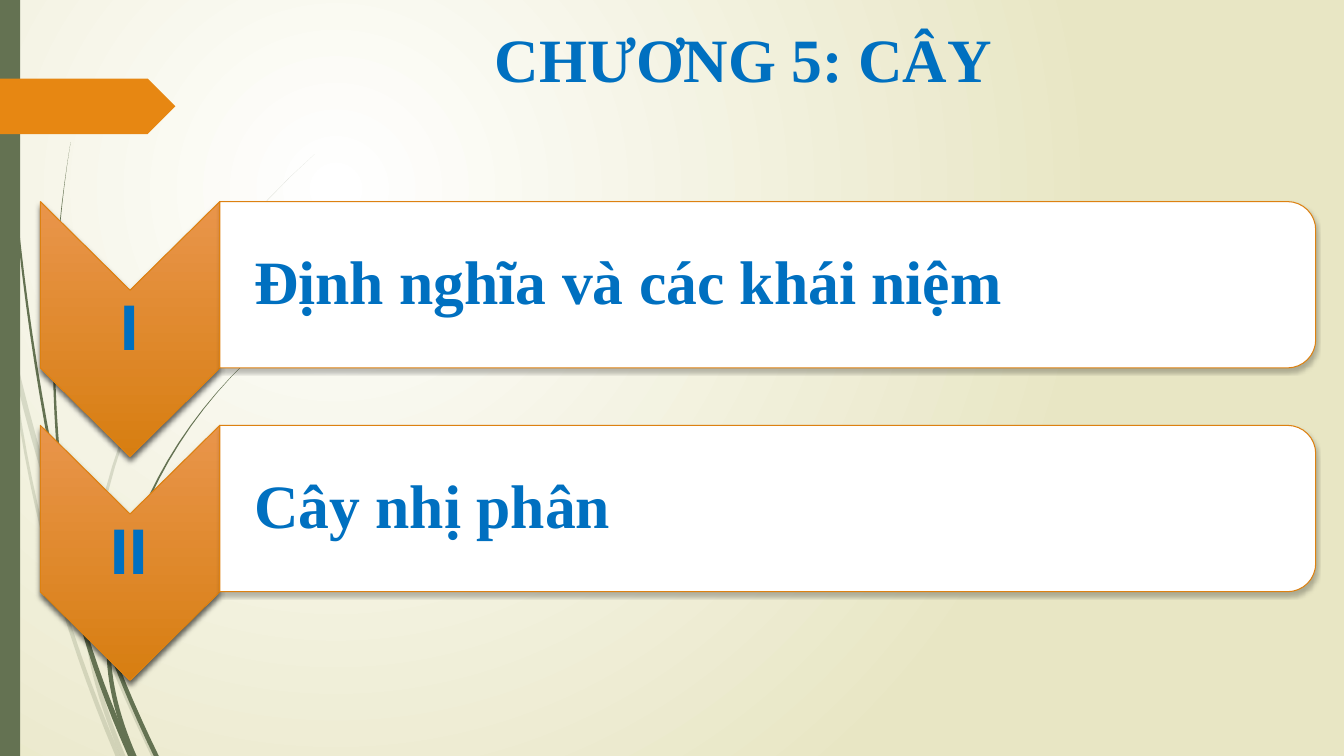
from math import cos, pi, sin

from lxml import etree
from pptx import Presentation
from pptx.dml.color import RGBColor
from pptx.enum.shapes import MSO_SHAPE
from pptx.enum.text import MSO_ANCHOR, PP_ALIGN
from pptx.oxml.ns import qn
from pptx.util import Inches, Pt

LEFT, CENTER = PP_ALIGN.LEFT, PP_ALIGN.CENTER
TOP, MIDDLE = MSO_ANCHOR.TOP, MSO_ANCHOR.MIDDLE
RECT, FLAG = MSO_SHAPE.RECTANGLE, MSO_SHAPE.PENTAGON
WIDTH, HEIGHT = 13.33, 7.5
HEX = {
    "white": "FFFFFF", "cream": "E8E6C4", "moss": "647252", "flag": "E78712",
    "light": "E9954B", "dark": "D77E11", "edge": "DD8111", "blue": "0070C0",
    "black": "000000",
}
RGB = {name: RGBColor.from_string(code) for name, code in HEX.items()}

deck = Presentation()
deck.slide_width, deck.slide_height = Inches(WIDTH), Inches(HEIGHT)
slide = deck.slides.add_slide(deck.slide_layouts[6])
shapes = slide.shapes


def write(shape, text, font="Times New Roman", size=44, align=LEFT,
          anchor=MIDDLE, inset=(0.1, 0.05, 0.1, 0.05), spacing=1.0):
    frame = shape.text_frame
    frame.word_wrap = True
    frame.vertical_anchor = anchor
    (frame.margin_left, frame.margin_top,
     frame.margin_right, frame.margin_bottom) = map(Inches, inset)
    para = frame.paragraphs[0]
    para.alignment, para.line_spacing = align, spacing
    run = para.add_run()
    run.text = text
    run.font.name, run.font.size, run.font.bold = font, Pt(size), True
    run.font.color.rgb = RGB["blue"]


def draw(points, color, alpha=100, shadow=None):
    """Draw a closed outline; shadow is (alpha, blur, distance) and adds an edge."""
    spots = [(Inches(x), Inches(y)) for x, y in points]
    pen = shapes.build_freeform(*spots[0], scale=1.0)
    pen.add_line_segments(spots[1:], close=True)
    shape = pen.convert_to_shape()
    shape.shadow.inherit = False
    shape.fill.solid()
    shape.fill.fore_color.rgb = RGB[color]
    if alpha < 100:
        tone = shape._element.spPr.find(".//" + qn("a:srgbClr"))
        etree.SubElement(tone, qn("a:alpha"), val=str(alpha * 1000))
    if shadow is None:
        shape.line.fill.background()
        return shape
    shape.line.color.rgb, shape.line.width = RGB["edge"], Pt(0.75)
    depth, blur, dist = shadow
    effects = shape._element.spPr.find(qn("a:effectLst"))
    cast = etree.SubElement(effects, qn("a:outerShdw"), blurRad=str(Pt(blur)),
                            dist=str(Pt(dist)), dir="5400000", rotWithShape="0")
    tone = etree.SubElement(cast, qn("a:srgbClr"), val=HEX["black"])
    etree.SubElement(tone, qn("a:alpha"), val=str(depth * 1000))
    return shape


# Background: glow centred a quarter of the way in
back = slide.background.fill
back.gradient()
for place, (stop, name) in enumerate(zip(back.gradient_stops, ("white", "cream"))):
    stop.color.rgb, stop.position = RGB[name], place
grad = slide._element.find(".//" + qn("a:gradFill"))
grad.remove(grad.find(qn("a:lin")))
glow = etree.SubElement(grad, qn("a:path"), path="circle")
etree.SubElement(glow, qn("a:fillToRect"), l="50000", t="50000", r="100000", b="100000")

# Grass: each blade bends from tip to root along a quadratic curve,
# and its width grows evenly from thin to thick
PALE, DEEP, STEPS = 20, 100, 16
blades = [  # alpha, tip, bend, root, thin, thick
    (PALE, (0, 2.9), (0.43, 5.2), (1.53, HEIGHT), 0.05, 0.06),
    (PALE, (0.11, 3.5), (0.32, 5.5), (1.17, HEIGHT), 0.02, 0.05),
    (PALE, (3.12, 1.53), (1.19, 3.25), (0.86, 5.9), 0, 0.04),
    (PALE, (0.86, 5.9), (0.8, 6.5), (1.22, HEIGHT), 0.04, 0.05),
    (DEEP, (0.04, 0), (0.08, 2.4), (0.57, 4.8), 0.01, 0.03),
    (DEEP, (0.57, 4.8), (0.64, 6.03), (1.3, HEIGHT), 0.03, 0.06),
    (DEEP, (0.7, 1.41), (0.43, 3.06), (0.6, 4.72), 0, 0.03),
    (DEEP, (0.6, 4.72), (0.87, 6.1), (1.55, HEIGHT), 0.03, 0.05),
    (DEEP, (2.6, 3.44), (1.3, 4.6), (1.08, 6.36), 0, 0.04),
    (DEEP, (1.08, 6.36), (1.06, 6.88), (1.33, HEIGHT), 0.04, 0.05),
]
for alpha, tip, bend, root, thin, thick in blades:
    near, far = [], []
    for step in range(STEPS + 1):
        t = step / STEPS
        x, y = ((1 - t) ** 2 * a + 2 * t * (1 - t) * b + t ** 2 * c
                for a, b, c in zip(tip, bend, root))
        half = (thin + (thick - thin) * t) / 2
        near.append((max(x - half, 0), y))
        far.append((x + half, y))
    draw(near + far[::-1], "moss", alpha=alpha)

# Side bar and flag
for kind, color, y, w, h in ((RECT, "moss", 0, 0.2, HEIGHT),
                             (FLAG, "flag", 0.78, 1.74, 0.55)):
    block = shapes.add_shape(kind, 0, Inches(y), Inches(w), Inches(h))
    block.shadow.inherit = False
    block.fill.solid()
    block.fill.fore_color.rgb = RGB[color]
    block.line.fill.background()

title = shapes.add_textbox(Inches(1.42), Inches(0.16), Inches(11.91), Inches(1.84))
write(title, "CHƯƠNG 5: CÂY", align=CENTER, anchor=TOP)

# Chapter parts: a chevron with its number, then a panel rounded on the right
first, pitch, tall, dip, curve = 2, 2.22, 1.65, 0.88, 0.28
left, split, right = 0.4, 2.18, 13.05
mid, hub = (left + split) / 2, right - curve
arc = [(curve * cos(k * pi / 16), curve * sin(k * pi / 16)) for k in range(9)]
parts = [("I", "Định nghĩa và các khái niệm"), ("II", "Cây nhị phân")]
for row, (mark, name) in enumerate(parts):
    y = first + row * pitch
    base = y + tall
    chevron = draw([(split, y), (split, base), (mid, base + dip), (left, base),
                    (left, y), (mid, y + dip)], "light", shadow=(60, 4, 3))
    chevron.fill.gradient()
    chevron.fill.gradient_angle = 270
    for place, (stop, tone) in enumerate(zip(chevron.fill.gradient_stops, ("light", "dark"))):
        stop.color.rgb, stop.position = RGB[tone], place
    write(chevron, mark, font="League Spartan", size=48, align=CENTER,
          inset=(0.03, 0.92, 0.03, 0.92), spacing=0.9)

    upper = [(hub + dx, y + curve - dy) for dx, dy in reversed(arc)]
    lower = [(hub + dx, base - curve + dy) for dx, dy in arc]
    panel = draw([(split, y), *upper, *lower, (split, base)], "white", shadow=(25, 3, 2))
    write(panel, name, inset=(0.34, 0.11, 0.11, 0.11), spacing=0.9)

deck.save("out.pptx")
